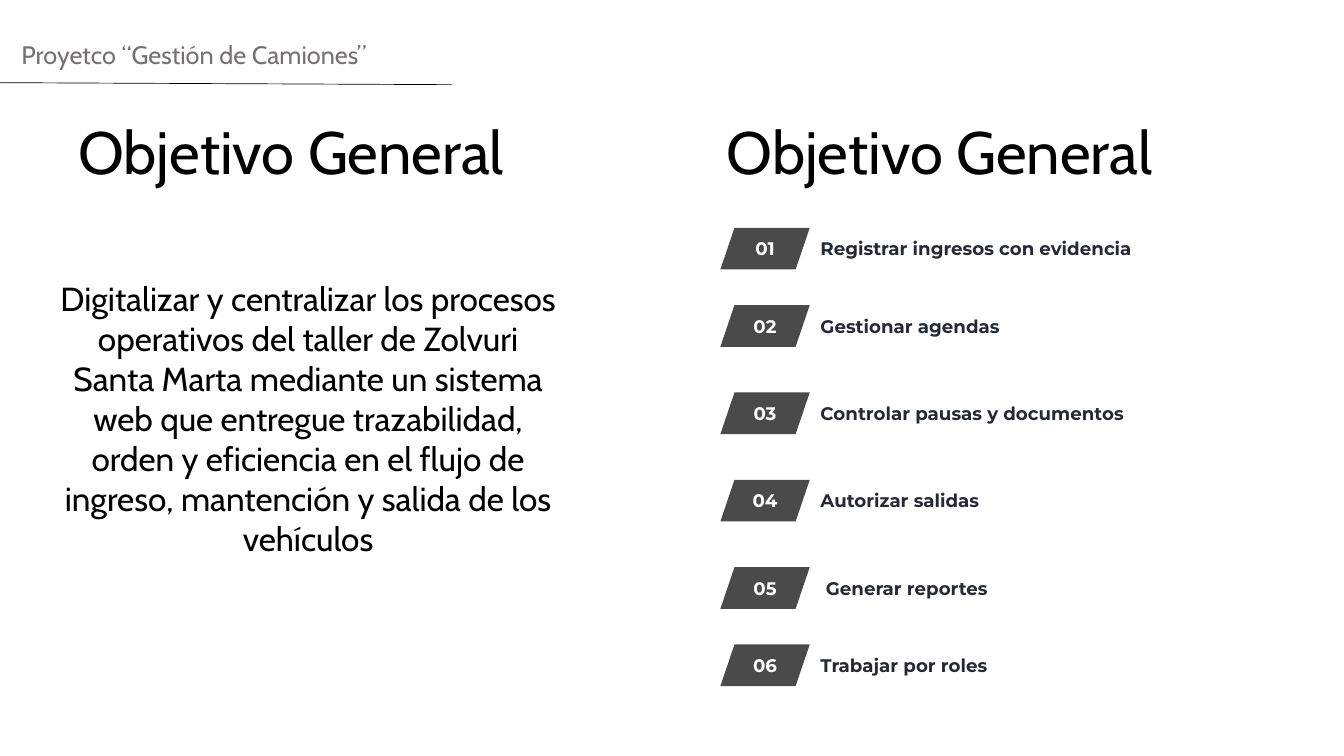
from itertools import accumulate
from lxml import etree
from pptx import Presentation
from pptx.dml.color import RGBColor
from pptx.enum.shapes import MSO_CONNECTOR, MSO_SHAPE
from pptx.enum.text import MSO_ANCHOR, MSO_AUTO_SIZE, PP_ALIGN
from pptx.oxml.ns import qn
from pptx.util import Inches, Pt

LEFT, CENTER = PP_ALIGN.LEFT, PP_ALIGN.CENTER
TOP, MIDDLE = MSO_ANCHOR.TOP, MSO_ANCHOR.MIDDLE

PROJECT = "Proyetco “Gestión de Camiones”"
GENERAL_HEADING = "Objetivo General"
GOALS_HEADING = "Objetivo General"
GENERAL_GOAL = (
    "Digitalizar y centralizar los procesos operativos del taller de Zolvuri "
    "Santa Marta mediante un sistema web que entregue trazabilidad, orden y "
    "eficiencia en el flujo de ingreso, mantención y salida de los vehículos"
)
GOALS = [
    ("Registrar ingresos con evidencia", 0),
    ("Gestionar agendas", 0),
    ("Controlar pausas y documentos", 0),
    ("Autorizar salidas", 0),
    ("Generar reportes", 0.08),
    ("Trabajar por roles", 0),
]
GOAL_TOPS = list(accumulate([3.39, 1.15, 1.3, 1.3, 1.3, 1.15]))
BADGE_LEFT, BADGE_WIDTH, BADGE_HEIGHT, BADGE_SLANT = 10.72, 1.33, 0.62, 0.21
GOAL_LEFT, GOAL_WIDTH, GOAL_HEIGHT = 12.21, 4.66, 0.33

HEADING = {"name": "Cabin", "size": Pt(64), "bold": False}
BODY = {"name": "Cabin", "size": Pt(35.7), "bold": False}
CAPTION = {"name": "Cabin", "size": Pt(27), "bold": False}
LABEL = {"name": "Montserrat", "size": Pt(19.5), "bold": True}


def color(hex_code):
    return RGBColor.from_string(hex_code)


def place(shape, left, top, width, height):
    bounds = {"left": left, "top": top, "width": width, "height": height}
    for side, inches in bounds.items():
        setattr(shape, side, Inches(inches))


def write(shape, text, font, hex_code, leading, align=LEFT, anchor=TOP, wrap=True):
    frame = shape.text_frame
    frame_format = {
        "margin_left": 0, "margin_right": 0, "margin_top": 0, "margin_bottom": 0,
        "word_wrap": wrap, "auto_size": MSO_AUTO_SIZE.NONE, "vertical_anchor": anchor,
    }
    for key, value in frame_format.items():
        setattr(frame, key, value)
    paragraph = frame.paragraphs[0]
    paragraph_format = {
        "text": text, "alignment": align, "line_spacing": Pt(leading),
        "space_before": Pt(0),
    }
    for key, value in paragraph_format.items():
        setattr(paragraph, key, value)
    run_font = paragraph.runs[0].font
    for key, value in font.items():
        setattr(run_font, key, value)
    run_font.color.rgb = color(hex_code)
    return paragraph


def add_text(slide, bounds, *content):
    box = slide.shapes.add_textbox(*map(Inches, bounds))
    write(box, *content)


def add_goal(slide, number, top, goal, indent):
    bounds = (BADGE_LEFT, top, BADGE_WIDTH, BADGE_HEIGHT)
    badge = slide.shapes.add_shape(MSO_SHAPE.PARALLELOGRAM, *map(Inches, bounds))
    badge.adjustments[0] = BADGE_SLANT / BADGE_HEIGHT
    badge.shadow.inherit = False
    badge.fill.solid()
    badge.fill.fore_color.rgb = color("4B4A4A")
    badge.line.fill.background()
    write(badge, f"{number:02}", LABEL, "FFFFFF", 23.4, CENTER, MIDDLE, False)
    goal_top = top + (BADGE_HEIGHT - GOAL_HEIGHT) / 2
    add_text(slide, (GOAL_LEFT + indent, goal_top, GOAL_WIDTH, GOAL_HEIGHT),
             goal, LABEL, "232A35", 23.4)


def main():
    deck = Presentation()
    deck.slide_width, deck.slide_height = Inches(20), Inches(11.25)
    slide = deck.slides.add_slide(deck.slide_layouts[1])
    heading, general_goal = slide.placeholders

    place(heading, 1.12, 1.71, 6.42, 1.22)
    write(heading, GENERAL_HEADING, HEADING, "000000", 76.8, CENTER)

    place(general_goal, 0.81, 4.14, 7.55, 4.23)
    paragraph = write(general_goal, GENERAL_GOAL, BODY, "000000", 42.9, CENTER)
    properties = paragraph._p.get_or_add_pPr()
    properties.set("marL", "0")
    properties.set("indent", "0")
    etree.SubElement(properties, qn("a:buNone"))

    rule_ends = map(Inches, (-0.01, 1.23, 6.72, 1.26))
    rule = slide.shapes.add_connector(MSO_CONNECTOR.STRAIGHT, *rule_ends)
    rule.line.color.rgb = color("000000")
    rule.line.width = Pt(0.75)
    etree.SubElement(rule._element.spPr, qn("a:effectLst"))

    add_text(slide, (10.77, 1.71, 6.42, 1.22),
             GOALS_HEADING, HEADING, "000000", 76.8, CENTER)
    for number, (top, (goal, indent)) in enumerate(zip(GOAL_TOPS, GOALS), 1):
        add_goal(slide, number, top, goal, indent)
    add_text(slide, (0.32, 0.59, 19.6, 0.51), PROJECT, CAPTION, "767171", 32.4)

    deck.save("out.pptx")


if __name__ == "__main__":
    main()
